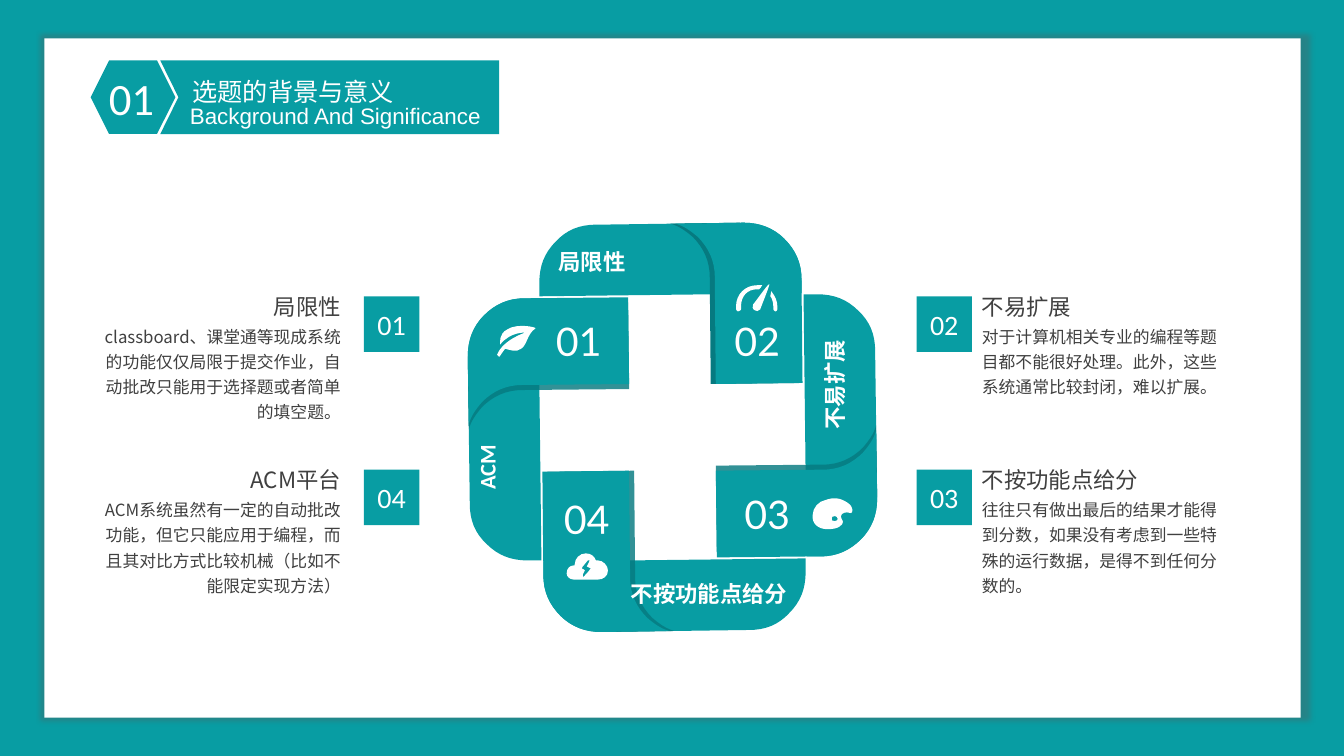
from lxml.etree import SubElement
from pptx import Presentation
from pptx.dml.color import RGBColor
from pptx.enum.shapes import MSO_SHAPE as Preset
from pptx.enum.text import MSO_ANCHOR as Anchor, PP_ALIGN as Align
from pptx.oxml.ns import qn
from pptx.util import Inches, Pt

TEAL = RGBColor(0x08, 0x9D, 0xA3)
DARK_TEAL = RGBColor(0x06, 0x7A, 0x80)
WHITE = RGBColor(0xFF, 0xFF, 0xFF)
GREY = RGBColor(0x40, 0x40, 0x40)
CJK = "Noto Sans CJK SC"

BEND = [(86, -203, 100, -198, 111, -187), (122, -176, 128, -163, 128, -147)]
ARM = [(-132, -130), (-132, -144), (-132, -160, -127, -173, -116, -184),
       (-105, -196, -92, -201, -76, -201), (71, -203), *BEND, (128, -133)]
FOLD = [(3, -202), (71, -203), *BEND, (129, -44), (43, -43), (42, -149),
        (42, -165, 36, -178, 25, -189), (18, -195, 11, -200, 3, -202)]

PALETTE = [
    [(36, 6), (29, 1, 22, 0, 14, 3), (7, 4, 1, 11, 1, 18), (0, 26, 6, 32, 16, 32),
     (28, 32, 31, 27, 31, 25), (32, 24, 27, 20, 30, 17), (34, 14, 37, 16, 39, 16),
     (41, 16, 42, 10, 36, 6)],
    [(23, 24), (20, 24, 20, 23, 20, 22), (20, 20, 20, 19, 23, 19),
     (24, 19, 26, 20, 26, 22), (26, 23, 24, 24, 23, 24)]]
LEAF = [
    [(10, 7), (2, 11, 3, 19, 3, 22), (13, 9, 28, 10, 28, 10), (28, 10, 6, 17, 0, 32),
     (0, 33, 3, 35, 3, 33), (5, 30, 8, 26, 8, 26), (12, 27, 19, 30, 24, 26),
     (30, 22, 30, 11, 38, 6), (41, 5, 20, 0, 10, 7)]]
CLOUD = [
    [(31, 7), (29, 7), (28, 3, 24, 0, 19, 0), (13, 0, 8, 5, 8, 11), (8, 12), (7, 12),
     (3, 12, 0, 15, 0, 20), (0, 23, 3, 26, 7, 26), (31, 26), (36, 26, 41, 23, 41, 17),
     (41, 12, 36, 7, 31, 7)],
    [(23, 16), (22, 18, 18, 22, 17, 23), (16, 23), (16, 21), (18, 17), (17, 16), (15, 15),
     (16, 13), (21, 7), (23, 7), (22, 9), (20, 13), (22, 14), (24, 15)]]
GAUGE = [
    [(17, 21), (16, 23, 16, 26, 19, 27), (20, 28, 22, 28, 24, 26), (25, 23, 34, 1, 33, 1),
     (32, 0, 19, 19, 17, 21)],
    [(21, 6), (23, 6), (24, 5, 25, 4, 26, 2), (24, 2, 23, 2, 21, 2), (9, 2, 0, 11, 0, 23),
     (0, 26), (0, 27, 2, 28, 2, 28), (4, 28, 5, 26, 5, 26), (5, 23), (5, 13, 11, 6, 21, 6)],
    [(35, 8), (35, 10, 35, 11, 34, 13), (36, 15, 37, 20, 37, 23), (37, 26),
     (37, 26, 38, 28, 39, 28), (40, 28, 41, 27, 41, 26), (41, 23), (41, 18, 39, 13, 35, 8)]]


def paint(shape, color):
    shape.shadow.inherit = False
    shape.fill.solid()
    shape.fill.fore_color.rgb = color
    shape.line.fill.background()
    return shape


def add_block(slide, preset, box, color):
    return paint(slide.shapes.add_shape(preset, *map(Inches, box)), color)


def write(shape, text, size, color=WHITE, font=CJK, align=Align.LEFT, bold=False, spacing=None):
    paragraph = shape.text_frame.paragraphs[0]
    paragraph.alignment = align
    if spacing:
        paragraph.line_spacing = spacing
    run = paragraph.add_run()
    run.text = text
    run.font.size = Pt(size)
    run.font.bold = bold
    run.font.color.rgb = color
    run.font.name = font
    SubElement(run.font._element, qn("a:ea")).set("typeface", CJK)


def add_text(slide, box, text, size, wrap=True, rotation=0, **style):
    shape = slide.shapes.add_textbox(*map(Inches, box))
    shape.text_frame.word_wrap = wrap
    shape.rotation = rotation
    write(shape, text, size, **style)
    return shape


def locate(origin, segment, turns, shift):
    points = []
    for x, y in zip(segment[::2], segment[1::2]):
        x += shift
        for _ in range(turns):
            x, y = -y, x
        points.append((Inches(origin[0] + x / 100), Inches(origin[1] + y / 100)))
    return points


def add_outline(slide, origin, contours, color, turns=0, shift=0):
    builder = None
    segments = []
    for contour in contours:
        start, *rest = [locate(origin, segment, turns, shift) for segment in contour]
        if builder is None:
            builder = slide.shapes.build_freeform(*start[0], scale=1.0)
        else:
            builder.move_to(*start[0])
        builder.add_line_segments([points[-1] for points in rest], close=True)
        segments += rest
    shape = builder.convert_to_shape()
    sides = list(shape._element.spPr.iter(qn("a:lnTo")))
    for side, points in zip(sides, segments):
        if len(points) == 3:
            side.tag = qn("a:cubicBezTo")
            end = side[0]
            for x, y in points[:2]:
                SubElement(side, qn("a:pt"), x=str(x - shape.left), y=str(y - shape.top))
            side.append(end)
    return paint(shape, color)


def set_opacity(shape, percent):
    color = shape._element.spPr.find(qn("a:solidFill"))[0]
    SubElement(color, qn("a:alpha")).set("val", str(percent * 1000))


def add_panel(slide, box):
    panel = add_block(slide, Preset.RECTANGLE, box, WHITE)
    effects = panel._element.spPr.find(qn("a:effectLst"))
    shadow = SubElement(effects, qn("a:outerShdw"), blurRad=str(Pt(4)), dist=str(Pt(2)),
                        dir="0", sx="101000", sy="101000", algn="ctr", rotWithShape="0")
    color = SubElement(shadow, qn("a:srgbClr"), val="595959")
    SubElement(color, qn("a:alpha"), val="36000")


def add_heading(slide, left, top, number, title, subtitle):
    banner = [(69, 0), (405, 0), (405, 73), (69, 73), (87, 36.5)]
    add_outline(slide, (left, top), [banner], TEAL)
    add_block(slide, Preset.HEXAGON, (left, top, 0.84, 0.73), TEAL)
    add_text(slide, (left - 0.03, top + 0.05, 0.87, 0.64), number, 32,
             font="Calibri", align=Align.CENTER)
    add_text(slide, (left + 0.91, top - 0.19, 2.22, 0.62), title, 18, wrap=False, spacing=2.0)
    add_text(slide, (left - 0.32, top + 0.36, 5.49, 0.37), subtitle, 16,
             font="Arial", align=Align.CENTER)


def add_ring(slide, center_x, center_y):
    center = (center_x, center_y)
    for turns in range(4):
        add_outline(slide, center, [ARM], TEAL, turns)
    for turns in range(4):
        shade = add_outline(slide, center, [FOLD], DARK_TEAL, turns, shift=-5)
        if turns:
            set_opacity(shade, 82)
        add_outline(slide, center, [FOLD], TEAL, turns)

    for number, x, y in (("02", 0.61, -1.1), ("03", 0.71, 0.62),
                         ("01", -1.16, -1.1), ("04", -1.08, 0.67)):
        shape = add_text(slide, (center_x + x, center_y + y, 0.46, 0.47), number, 28,
                         wrap=False, rotation=359.4, font="Lato", align=Align.CENTER)
        frame = shape.text_frame
        frame.margin_left = frame.margin_right = frame.margin_top = frame.margin_bottom = 0
        frame.vertical_anchor = Anchor.BOTTOM

    for label, x, y, width, rotation, font in (
            ("局限性", -1.23, -1.83, 0.87, 0, "Calibri"),
            ("不按功能点给分", -0.51, 1.47, 1.76, 0, CJK),
            ("不易扩展", 1.06, -0.61, 1.09, 270, "Calibri"),
            ("ACM", -2.16, 0.21, 0.64, 270, "Calibri")):
        add_text(slide, (center_x + x, center_y + y, width, 0.37), label, 16,
                 wrap=False, rotation=rotation, font=font, bold=True)

    for icon, x, y in ((PALETTE, 1.38, 0.69), (LEAF, -1.74, -1.04),
                       (CLOUD, -1.05, 1.25), (GAUGE, 0.63, -1.43)):
        add_outline(slide, (center_x + x, center_y + y), icon, WHITE)


def add_entry(slide, text_left, badge_left, top, align, number, title, body):
    badge = add_block(slide, Preset.RECTANGLE, (badge_left, top + 0.08, 0.55, 0.55), TEAL)
    badge.text_frame.vertical_anchor = Anchor.MIDDLE
    write(badge, number, 20, font="Calibri", align=Align.CENTER)
    add_text(slide, (text_left, top + 0.28, 2.62, 1.11), body, 12,
             color=GREY, align=align, spacing=1.25)
    add_text(slide, (text_left, top, 2.62, 0.37), title, 16, color=GREY, align=align)


def main():
    presentation = Presentation()
    presentation.slide_width = Inches(13.33)
    presentation.slide_height = Inches(7.5)
    slide = presentation.slides.add_slide(presentation.slide_layouts[6])
    slide.background.fill.solid()
    slide.background.fill.fore_color.rgb = TEAL

    add_panel(slide, (0.44, 0.38, 12.46, 6.74))
    add_heading(slide, 0.9, 0.6, "01", "选题的背景与意义", "Background And Significance")
    add_ring(slide, 6.67, 4.24)

    left = (0.86, 3.61, Align.RIGHT)
    right = (9.64, 9.09, Align.LEFT)
    upper, lower = 2.86, 4.58
    for (text_left, badge_left, align), top, number, title, body in (
            (left, upper, "01", "局限性",
             "classboard、课堂通等现成系统的功能仅仅局限于提交作业，自动批改只能用于选择题或者简单的填空题。"),
            (left, lower, "04", "ACM平台",
             "ACM系统虽然有一定的自动批改功能，但它只能应用于编程，而且其对比方式比较机械（比如不能限定实现方法）"),
            (right, upper, "02", "不易扩展",
             "对于计算机相关专业的编程等题目都不能很好处理。此外，这些系统通常比较封闭，难以扩展。"),
            (right, lower, "03", "不按功能点给分",
             "往往只有做出最后的结果才能得到分数，如果没有考虑到一些特殊的运行数据，是得不到任何分数的。")):
        add_entry(slide, text_left, badge_left, top, align, number, title, body)

    presentation.save("out.pptx")


if __name__ == "__main__":
    main()
